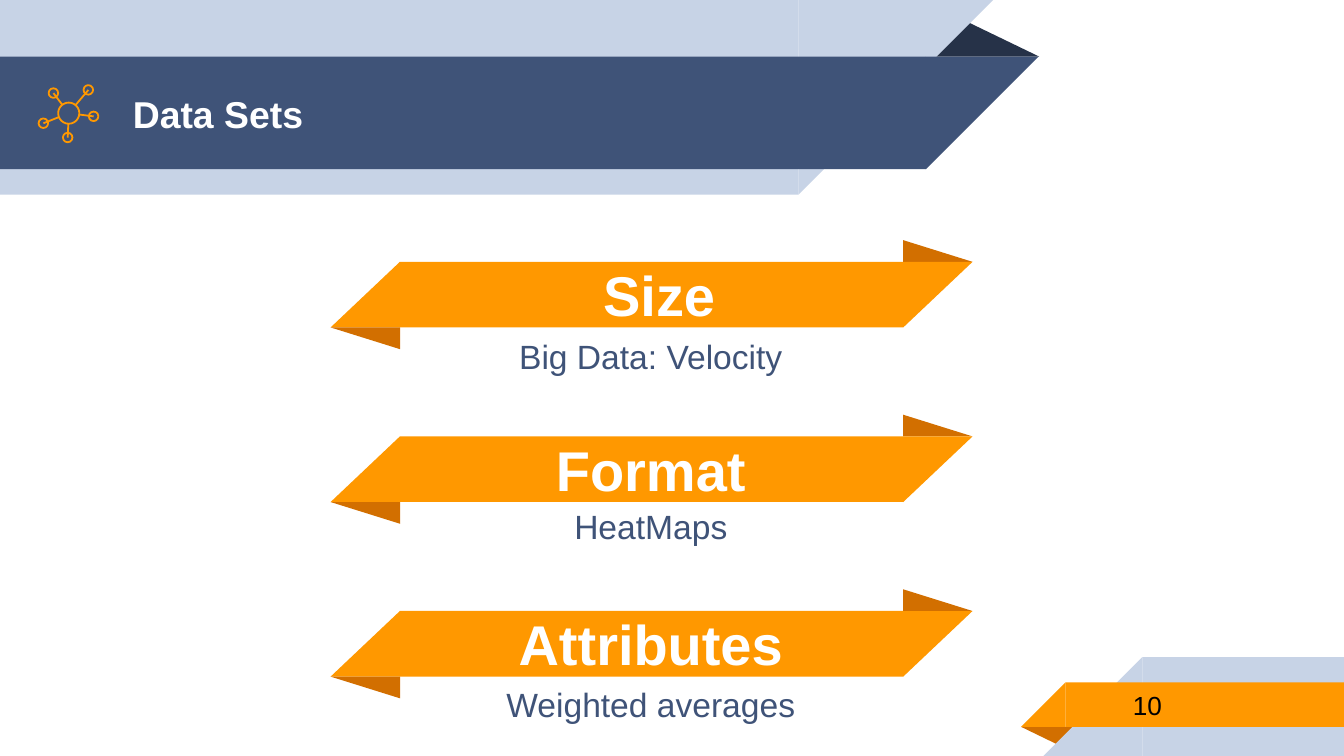
import dataclasses
import math

import lxml.etree
import pptx
import pptx.dml.color
import pptx.enum.shapes
import pptx.enum.text
import pptx.oxml.ns
import pptx.util

Cm = pptx.util.Cm
Pt = pptx.util.Pt
Kind = pptx.enum.shapes.MSO_SHAPE
Align = pptx.enum.text.PP_ALIGN
qn = pptx.oxml.ns.qn


@dataclasses.dataclass(frozen=True)
class Theme:
    font: str = "Arial"
    pale: str = "C7D3E6"
    navy: str = "3F5378"
    dark: str = "263248"
    gold: str = "FF9800"
    rust: str = "D26F00"
    white: str = "FFFFFF"
    black: str = "000000"
    title: int = 20
    head: int = 30
    sub: int = 18
    page: int = 14
    line: float = 0.96


def tint(name):
    return pptx.dml.color.RGBColor.from_string(name)


class Deck:
    def __init__(self, theme):
        self.theme = theme
        self.file = pptx.Presentation()
        self.file.slide_width = Cm(25.4)
        self.file.slide_height = Cm(14.29)
        self.slide = self.file.slides.add_slide(self.file.slide_layouts[4])
        self.shapes = self.slide.shapes
        self.holders = list(self.slide.placeholders)

    def block(self, kind, box, fill, turn=0, flip=False, peak=None):
        shape = self.shapes.add_shape(kind, *map(Cm, box))
        shape.shadow.inherit = False
        shape.fill.solid()
        shape.fill.fore_color.rgb = tint(fill)
        shape.line.fill.background()
        shape.rotation = turn
        if flip:
            shape._element.spPr.xfrm.set("flipH", "1")
        if peak is not None:
            shape.adjustments[0] = peak

    def ring(self, x, y, radius):
        box = x - radius, y - radius, 2 * radius, 2 * radius
        shape = self.shapes.add_shape(Kind.OVAL, *map(Cm, box))
        shape.shadow.inherit = False
        shape.fill.background()
        self.stroke(shape)

    def spoke(self, start, end):
        link = self.shapes.add_connector(
            pptx.enum.shapes.MSO_CONNECTOR.STRAIGHT, *map(Cm, (*start, *end)))
        self.stroke(link)
        lxml.etree.SubElement(link._element.spPr, qn("a:effectLst"))

    def stroke(self, shape):
        shape.line.color.rgb = tint(self.theme.gold)
        shape.line.width = Pt(self.theme.line)

    def label(self, box, text, size, color, bold=False, align=Align.LEFT):
        shape = self.shapes.add_textbox(*map(Cm, box))
        return self.letter(shape, text, size, color, bold, align)

    def holder(self, box, text, size, color, bold=False, align=Align.LEFT, after=0):
        shape = self.holders.pop(0)
        for key, value in zip(("left", "top", "width", "height"), box):
            setattr(shape, key, Cm(value))
        self.shapes._spTree.append(shape._element)
        para = self.letter(shape, text, size, color, bold, align)
        para.space_before = Pt(0)
        para.space_after = Pt(after)
        props = para._p.get_or_add_pPr()
        for key in ("marL", "indent"):
            props.set(key, "0")
        lxml.etree.SubElement(props, qn("a:buNone"))

    def letter(self, shape, text, size, color, bold, align):
        frame = shape.text_frame
        style = {
            "word_wrap": True,
            "auto_size": pptx.enum.text.MSO_AUTO_SIZE.NONE,
            "vertical_anchor": pptx.enum.text.MSO_ANCHOR.MIDDLE,
        }
        for side in ("left", "top", "right", "bottom"):
            style["margin_" + side] = Cm(0.25)
        for key, value in style.items():
            setattr(frame, key, value)
        para = frame.paragraphs[0]
        para.alignment = align
        run = para.add_run()
        run.text = text
        face = {"name": self.theme.font, "size": Pt(size), "bold": bold}
        for key, value in face.items():
            setattr(run.font, key, value)
        run.font.color.rgb = tint(color)
        return para

    def ribbon(self, top):
        left, wing, span, tall, fold = 6.25, 1.31, 9.51, 1.24, 0.41
        body = left + wing
        right = body + span
        gold, rust = self.theme.gold, self.theme.rust
        self.block(Kind.ISOSCELES_TRIANGLE, (right, top - fold, wing, fold), rust, peak=0)
        self.block(Kind.RECTANGLE, (body, top, span, tall), gold)
        self.block(Kind.RIGHT_TRIANGLE, (right, top, wing, tall), gold, 180, True)
        self.block(Kind.RIGHT_TRIANGLE, (left, top, wing, tall), gold, flip=True)
        self.block(Kind.ISOSCELES_TRIANGLE, (left, top + tall, wing, fold), rust, 180, peak=0)

    def save(self):
        for shape in self.holders:
            self.shapes._spTree.remove(shape._element)
        self.file.save("out.pptx")


def banner(deck):
    theme = deck.theme
    deck.block(Kind.ISOSCELES_TRIANGLE, (17.48, 0.36, 2.16, 0.71), theme.dark, peak=0.32)
    for top, wide, tall, fill in ((0, 15.09, 3.68, theme.pale), (1.07, 17.5, 2.13, theme.navy)):
        deck.block(Kind.RECTANGLE, (0, top, wide, tall), fill)
        deck.block(Kind.RIGHT_TRIANGLE, (wide, top, tall, tall), fill, 180, True)
    deck.holder((2.26, 1.09, 14.6, 2.13), "Data Sets", theme.title, theme.white, True)


def corner(deck):
    theme = deck.theme
    deck.block(Kind.ISOSCELES_TRIANGLE, (19.3, 13.74, 1.09, 0.36), theme.rust, 180, peak=0.32)
    for left, top, tall, fill in ((21.59, 12.42, 1.87, theme.pale), (20.14, 12.9, 0.84, theme.gold)):
        deck.block(Kind.RECTANGLE, (left, top, 25.4 - left, tall), fill)
        deck.block(Kind.RIGHT_TRIANGLE, (left - tall, top, tall, tall), fill, flip=True)
    deck.label((21.16, 12.88, 4.14, 0.89), "10", theme.page, theme.black)


def icon(deck):
    x, y, radius = 1.3, 2.14, 0.2
    deck.ring(x, y, radius)
    for node in ((1.67, 1.7), (1.01, 1.76), (0.82, 2.33), (1.28, 2.6), (1.77, 2.2)):
        deck.ring(*node, 0.09)
        angle = math.atan2(node[1] - y, node[0] - x)
        edge = x + radius * math.cos(angle), y + radius * math.sin(angle)
        deck.spoke(node, edge)


def main():
    deck = Deck(Theme())
    theme = deck.theme
    banner(deck)
    corner(deck)
    icon(deck)
    rows = (
        ("Size", 7.75, "Big Data: Velocity", 1.25, 1.07),
        ("Format", 7.59, "HeatMaps", 1.22, 0.94),
        ("Attributes", 7.59, "Weighted averages", 1.28, 0.94),
    )
    for index, (head, left, sub, drop, tall) in enumerate(rows):
        top = 4.95 + 3.3 * index
        deck.ribbon(top)
        deck.label((left, top, 9.42, 1.22), head, theme.head, theme.white, True, Align.CENTER)
        deck.holder((7.59, top + drop, 9.42, tall), sub, theme.sub, theme.navy,
                    align=Align.CENTER, after=10)
    deck.save()


if __name__ == "__main__":
    main()
